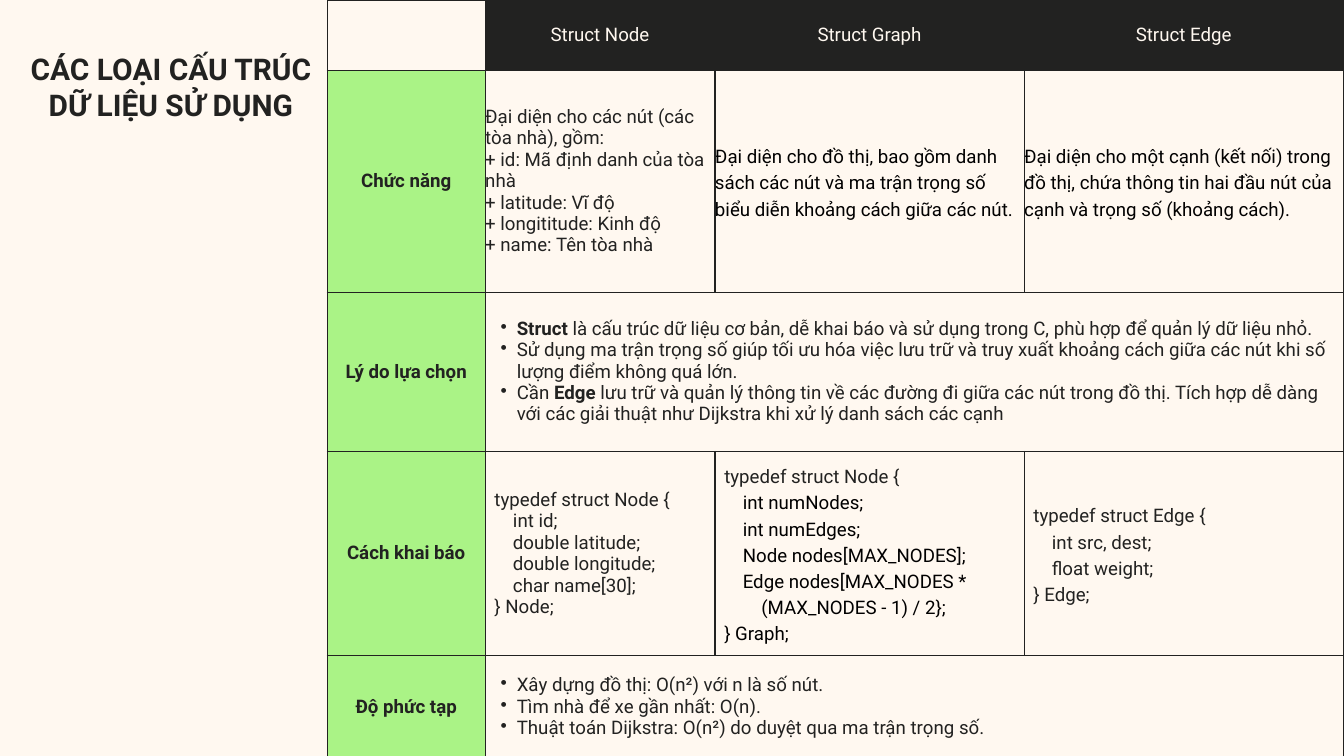
from lxml import etree
from pptx import Presentation
from pptx.dml.color import RGBColor
from pptx.enum.shapes import MSO_CONNECTOR
from pptx.enum.text import MSO_ANCHOR, PP_ALIGN
from pptx.oxml.ns import qn
from pptx.util import Inches, Pt

STRAIGHT = MSO_CONNECTOR.STRAIGHT
MIDDLE = MSO_ANCHOR.MIDDLE
CENTER, LEFT = PP_ALIGN.CENTER, PP_ALIGN.LEFT

THEME = {
    "font": "Roboto", "paper": "FFF8F0", "ink": "222221", "black": "000000",
    "label": "AAF386", "title_size": 32, "body_size": 20, "border": 1.5,
}

# Cell styles: fill, text colour, weight, alignment, line spacing, bullets
BASE = {"fill": "paper", "color": "ink", "bold": False, "align": LEFT,
        "spacing": 23, "bullets": False}
STYLES = {
    "blank": BASE,
    "head": {**BASE, "fill": "ink", "color": "paper", "align": CENTER},
    "label": {**BASE, "fill": "label", "bold": True, "align": CENTER},
    "body": BASE,
    "loose": {**BASE, "spacing": 28},
    "black": {**BASE, "color": "black", "spacing": 28},
    "bullets": {**BASE, "bullets": True},
}

TITLE = "CÁC LOẠI CẤU TRÚC DỮ LIỆU SỬ DỤNG"
COLUMN_WIDTHS = [2.35, 3.42, 4.6, 4.75]
ROW_HEIGHTS = [1.05, 3.3, 2.37, 3.04, 1.52]
TABLE_LEFT = 4.87

BOLD = {"bold": True}
INK = {"color": "ink"}

# Each cell is (style, lines); a line is text or a list of (text, format) runs.
# A row with only two cells spreads the second over all the struct columns.
ROWS = [
    [("blank", []), ("head", ["Struct Node"]), ("head", ["Struct Graph"]),
     ("head", ["Struct Edge"])],
    [("label", ["Chức năng"]),
     ("body", ["Đại diện cho các nút (các tòa nhà), gồm:",
               "+ id: Mã định danh của tòa nhà",
               "+ latitude: Vĩ độ",
               "+ longititude: Kinh độ",
               "+ name: Tên tòa nhà"]),
     ("black", ["Đại diện cho đồ thị, bao gồm danh sách các nút và ma trận "
                "trọng số biểu diễn khoảng cách giữa các nút."]),
     ("black", ["Đại diện cho một cạnh (kết nối) trong đồ thị, chứa thông tin "
                "hai đầu nút của cạnh và trọng số (khoảng cách)."])],
    [("label", ["Lý do lựa chọn"]),
     ("bullets", [
         [("Struct", BOLD),
          (" là cấu trúc dữ liệu cơ bản, dễ khai báo và sử dụng trong C, "
           "phù hợp để quản lý dữ liệu nhỏ.", {})],
         "Sử dụng ma trận trọng số giúp tối ưu hóa việc lưu trữ và truy xuất "
         "khoảng cách giữa các nút khi số lượng điểm không quá lớn.",
         [("Cần ", {}), ("Edge ", BOLD),
          ("lưu trữ và quản lý thông tin về các đường đi giữa các nút trong "
           "đồ thị. Tích hợp dễ dàng với các giải thuật như Dijkstra khi xử lý "
           "danh sách các cạnh", {})]])],
    [("label", ["Cách khai báo"]),
     ("body", ["  typedef struct Node {",
               "      int id;",
               "      double latitude;",
               "      double longitude;",
               "      char name[30];",
               "  } Node;"]),
     ("black", [[("  typedef struct Node {", INK)],
                "      int numNodes;",
                "      int numEdges;",
                "      Node nodes[MAX_NODES];",
                "      Edge nodes[MAX_NODES *\n          (MAX_NODES - 1) / 2};",
                "  } Graph;"]),
     ("loose", ["  typedef struct Edge {",
                "      int src, dest;",
                "      float weight;",
                "  } Edge;"])],
    [("label", ["Độ phức tạp"]),
     ("bullets", ["Xây dựng đồ thị: O(n²) với n là số nút.",
                  "Tìm nhà để xe gần nhất: O(n).",
                  "Thuật toán Dijkstra: O(n²) do duyệt qua ma trận trọng số."])],
]


def rgb(name):
    return RGBColor.from_string(THEME[name])


def set_all(target, values):
    for attribute, value in values.items():
        setattr(target, attribute, value)


def add_bullet(paragraph):
    paragraph.level = 1
    properties = paragraph._p.get_or_add_pPr()
    properties.set("marL", str(Inches(0.47)))
    properties.set("indent", str(Inches(-0.24)))
    etree.SubElement(properties, qn("a:buChar"), char="•")


def write_lines(frame, lines, style, size):
    """Write one paragraph per line; a newline inside a line is a soft break."""
    for index, line in enumerate(lines):
        paragraph = frame.add_paragraph() if index else frame.paragraphs[0]
        set_all(paragraph, {"alignment": style["align"],
                            "line_spacing": Pt(style["spacing"])})
        if style["bullets"]:
            add_bullet(paragraph)
        for text, changes in [(line, {})] if isinstance(line, str) else line:
            look = {**style, **changes}
            for part_index, part in enumerate(text.split("\n")):
                if part_index:
                    paragraph.add_line_break()
                run = paragraph.add_run()
                run.text = part
                set_all(run.font, {"name": THEME["font"], "size": Pt(size),
                                   "bold": look["bold"]})
                run.font.color.rgb = rgb(look["color"])


def add_borders(cell):
    properties = cell._tc.get_or_add_tcPr()
    for position, side in enumerate(("a:lnL", "a:lnR", "a:lnT", "a:lnB")):
        border = etree.Element(qn(side), w=str(Pt(THEME["border"])))
        fill = etree.SubElement(border, qn("a:solidFill"))
        etree.SubElement(fill, qn("a:srgbClr"), val=THEME["ink"])
        properties.insert(position, border)


def format_cell(cell, style):
    set_all(cell, {"vertical_anchor": MIDDLE, "margin_left": 0,
                   "margin_right": 0, "margin_top": 0, "margin_bottom": 0})
    cell.fill.solid()
    cell.fill.fore_color.rgb = rgb(style["fill"])
    add_borders(cell)


def add_struct_table(slide):
    table = slide.shapes.add_table(
        len(ROWS), len(COLUMN_WIDTHS), Inches(TABLE_LEFT), 0,
        Inches(sum(COLUMN_WIDTHS)), Inches(sum(ROW_HEIGHTS))).table
    set_all(table, {"first_row": False, "horz_banding": False})
    for column, width in zip(table.columns, COLUMN_WIDTHS):
        column.width = Inches(width)
    for row, height in zip(table.rows, ROW_HEIGHTS):
        row.height = Inches(height)
    last = len(COLUMN_WIDTHS) - 1
    for r, cells in enumerate(ROWS):
        for c in range(last + 1):
            style_name, lines = cells[min(c, len(cells) - 1)]
            cell, style = table.cell(r, c), STYLES[style_name]
            format_cell(cell, style)
            if c < len(cells):
                write_lines(cell.text_frame, lines, style, THEME["body_size"])
        if len(cells) == 2:
            table.cell(r, 1).merge(table.cell(r, last))


def add_left_rule(slide):
    rule = slide.shapes.add_connector(
        STRAIGHT, Inches(TABLE_LEFT), Inches(sum(ROW_HEIGHTS)),
        Inches(TABLE_LEFT), 0)
    rule.line.color.rgb = rgb("ink")
    rule.line.width = Pt(THEME["border"])
    etree.SubElement(rule._element.spPr, qn("a:effectLst"))


def add_title(slide):
    frame = slide.shapes.add_textbox(
        Inches(0.22), Inches(0.75), Inches(4.65), Inches(1.06)).text_frame
    set_all(frame, {"word_wrap": True, "margin_left": 0, "margin_right": 0,
                    "margin_top": 0, "margin_bottom": 0})
    style = {**BASE, "bold": True, "align": CENTER, "spacing": 38.4}
    write_lines(frame, [TITLE], style, THEME["title_size"])


def main():
    deck = Presentation()
    set_all(deck, {"slide_width": Inches(20), "slide_height": Inches(11.25)})
    slide = deck.slides.add_slide(deck.slide_layouts[6])
    slide.background.fill.solid()
    slide.background.fill.fore_color.rgb = rgb("paper")
    add_struct_table(slide)
    add_left_rule(slide)
    add_title(slide)
    deck.save("out.pptx")


if __name__ == "__main__":
    main()
